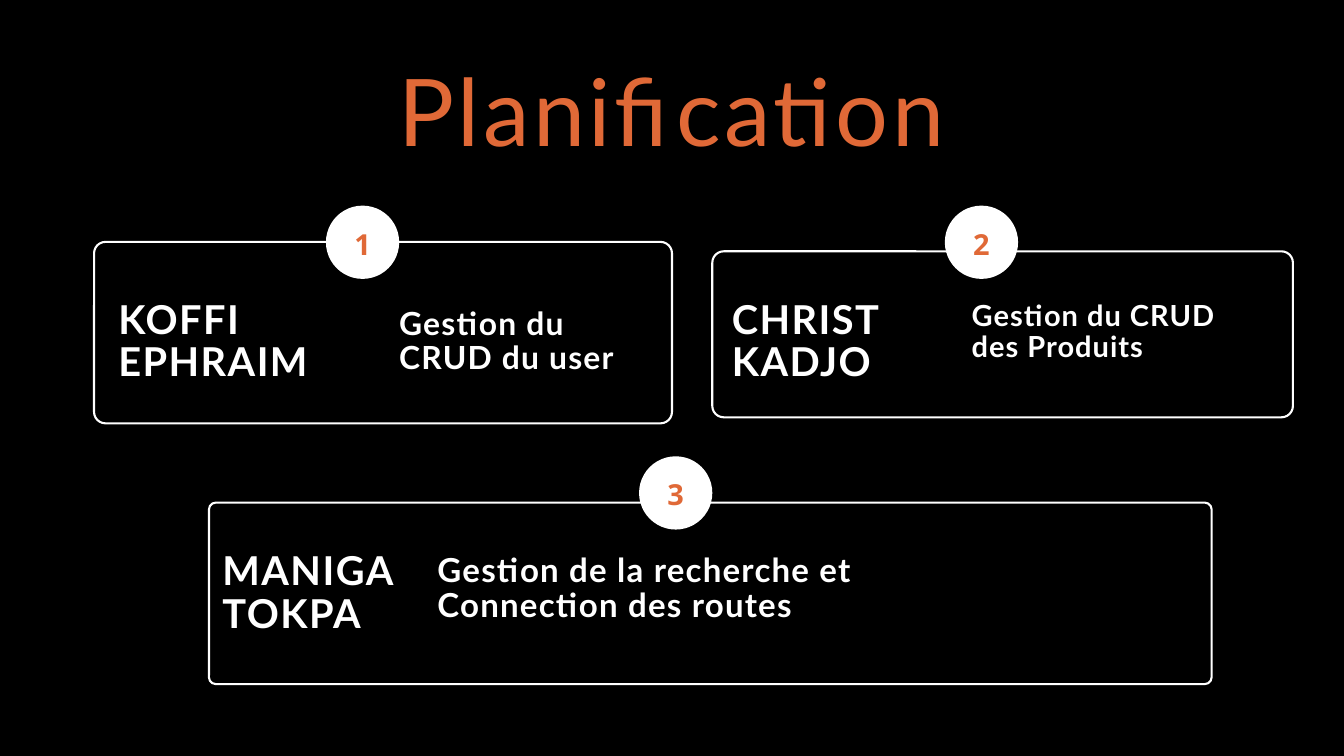
"""Builds the "Planification" slide: three numbered cards, each with a person and a task."""
from pptx import Presentation
from pptx.dml.color import RGBColor
from pptx.enum.shapes import MSO_SHAPE
from pptx.enum.text import MSO_ANCHOR, MSO_AUTO_SIZE, PP_ALIGN
from pptx.util import Inches, Pt

BLACK = RGBColor(0x00, 0x00, 0x00)
WHITE = RGBColor(0xFF, 0xFF, 0xFF)
ORANGE = RGBColor(0xE0, 0x69, 0x37)
ROUNDED, OVAL = MSO_SHAPE.ROUNDED_RECTANGLE, MSO_SHAPE.OVAL
TOP, MIDDLE = MSO_ANCHOR.TOP, MSO_ANCHOR.MIDDLE
LEFT, CENTER = PP_ALIGN.LEFT, PP_ALIGN.CENTER
NO_AUTOFIT = MSO_AUTO_SIZE.NONE
TITLE_ONLY = 5
BADGE_SIZE = 1.09
NAME_SIZE = 42.6


def write(holder, text, size, leading, color, font="Lato", bold=True,
          tracking=0, align=LEFT, anchor=TOP, inset=0):
    frame = holder.text_frame
    frame.word_wrap = True
    frame.auto_size = NO_AUTOFIT
    frame.vertical_anchor = anchor
    frame.margin_left = frame.margin_right = Inches(inset)
    frame.margin_top = frame.margin_bottom = Inches(inset)
    paragraph = frame.paragraphs[0]
    paragraph.alignment = align
    paragraph.line_spacing = Pt(leading)
    paragraph.space_before = Pt(0)
    run = paragraph.add_run()
    run.text = text
    run.font.name = font
    run.font.size = Pt(size)
    run.font.bold = bold
    run.font.color.rgb = color
    if tracking:
        run.font._element.set("spc", str(round(tracking * 100)))


prs = Presentation()
prs.slide_width, prs.slide_height = Inches(20), Inches(11.25)
slide = prs.slides.add_slide(prs.slide_layouts[TITLE_ONLY])
slide.background.fill.solid()
slide.background.fill.fore_color.rgb = BLACK

title = slide.shapes.title
title.left, title.top = Inches(5.67), Inches(0.99)
title.width, title.height = Inches(8.66), Inches(1.57)
write(title, "Planification", 100, 106, ORANGE, bold=False, tracking=3.7, align=CENTER)

cards = [
    ((1.4, 3.6, 8.6, 2.7), 0.17, (4.85, 3.06),
     "KOFFI EPHRAIM", (1.76, 4.47, 3.09, 1.29),
     "Gestion du CRUD du user", (5.94, 4.59, 3.64, 1.04), 34.1, 36.1, 1.3),
    ((10.6, 3.74, 8.64, 2.47), 0.17, (14.06, 3.06),
     "CHRIST KADJO", (10.89, 4.47, 2.68, 1.29),
     "Gestion du CRUD des Produits", (14.46, 4.49, 3.72, 0.96), 31.1, 33, 1.1),
    ((3.11, 7.48, 14.92, 2.7), 0.1, (9.51, 6.79),
     "MANIGA TOKPA", (3.31, 8.21, 2.68, 1.29),
     "Gestion de la recherche et Connection des routes",
     (6.51, 8.25, 8.93, 1.08), 35.4, 37.5, 1.3),
]

for number, (frame_box, radius, badge_at, person, person_box,
             task, task_box, task_size, task_leading, task_tracking) in enumerate(cards, 1):
    card = slide.shapes.add_shape(ROUNDED, *map(Inches, frame_box))
    card.adjustments[0] = radius / frame_box[3]
    card.shadow.inherit = False
    card.fill.background()
    card.line.color.rgb = WHITE
    card.line.width = Pt(2.25)

    badge = slide.shapes.add_shape(OVAL, *map(Inches, (*badge_at, BADGE_SIZE, BADGE_SIZE)))
    badge.shadow.inherit = False
    badge.fill.solid()
    badge.fill.fore_color.rgb = WHITE
    badge.line.fill.background()
    write(badge, str(number), 31, 43.4, ORANGE, font="Open Sans",
          align=CENTER, anchor=MIDDLE, inset=0.06)
    badge.text_frame.margin_bottom = Inches(0.11)

    person_label = slide.shapes.add_textbox(*map(Inches, person_box))
    write(person_label, person, NAME_SIZE, 45.2, WHITE, tracking=1.6)

    task_label = slide.shapes.add_textbox(*map(Inches, task_box))
    write(task_label, task, task_size, task_leading, WHITE, tracking=task_tracking)

prs.save("out.pptx")
